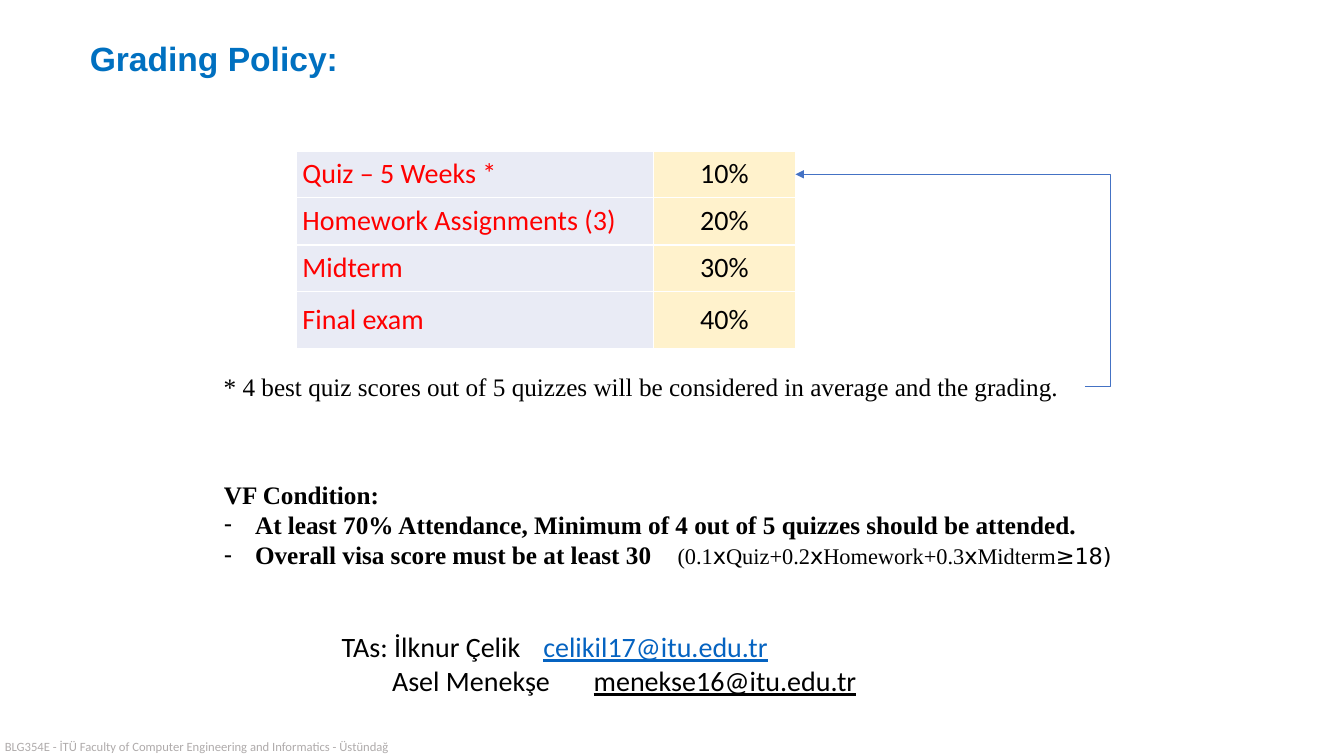
from lxml import etree
from pptx import Presentation
from pptx.dml.color import RGBColor
from pptx.enum.shapes import MSO_CONNECTOR
from pptx.enum.text import MSO_ANCHOR, MSO_AUTO_SIZE, PP_ALIGN
from pptx.oxml.ns import qn
from pptx.util import Inches, Pt

ELBOW = MSO_CONNECTOR.ELBOW
MIDDLE, TOP = MSO_ANCHOR.MIDDLE, MSO_ANCHOR.TOP
LEFT, CENTER = PP_ALIGN.LEFT, PP_ALIGN.CENTER
NO_FIT = MSO_AUTO_SIZE.NONE

BLACK, WHITE, RED = "000000", "FFFFFF", "FF0000"
SERIF, SANS, SYMBOL = "Times New Roman", "Calibri", "DejaVu Sans"


def color(value):
    return RGBColor.from_string(value)


def add_element(parent, tag, **attributes):
    return etree.SubElement(parent, qn(tag), attributes)


def add_run(paragraph, text, size, font, hue=BLACK, bold=False, underline=False):
    run = paragraph.add_run()
    run.text = text
    run.font.size = Pt(size)
    run.font.name = font
    run.font.bold = bold
    run.font.underline = underline
    run.font.color.rgb = color(hue)


def set_paragraph(paragraph, margin=0, bullet=None, tab=None):
    paragraph.alignment = LEFT
    paragraph.line_spacing = 1.0
    paragraph.space_before = Pt(0)
    properties = paragraph._p.get_or_add_pPr()
    properties.set("marL", str(Inches(margin)))
    properties.set("indent", str(-Inches(margin) if bullet else 0))
    if bullet:
        add_element(properties, "a:buChar", char=bullet)
    else:
        add_element(properties, "a:buNone")
    if tab:
        stops = add_element(properties, "a:tabLst")
        add_element(stops, "a:tab", pos=str(Inches(tab)), algn="l")


def fill_text(shape, box, lines, anchor=TOP):
    shape.left, shape.top, shape.width, shape.height = map(Inches, box)
    frame = shape.text_frame
    frame.word_wrap = True
    frame.auto_size = NO_FIT
    frame.vertical_anchor = anchor
    for index, (layout, runs) in enumerate(lines):
        paragraph = frame.add_paragraph() if index else frame.paragraphs[0]
        set_paragraph(paragraph, **layout)
        for run in runs:
            add_run(paragraph, *run)


def add_text(slide, box, lines):
    fill_text(slide.shapes.add_textbox(0, 0, 0, 0), box, lines)


def set_borders(cell):
    properties = cell._tc.get_or_add_tcPr()
    for position, side in enumerate(("a:lnL", "a:lnR", "a:lnT", "a:lnB")):
        border = etree.Element(qn(side), w=str(Pt(1)))
        fill = add_element(border, "a:solidFill")
        add_element(fill, "a:srgbClr", val=WHITE)
        properties.insert(position, border)


def fill_cell(cell, text, hue, background, alignment):
    cell.fill.solid()
    cell.fill.fore_color.rgb = color(background)
    cell.vertical_anchor = MIDDLE
    cell.margin_left = cell.margin_right = Inches(0.06)
    cell.margin_top = cell.margin_bottom = Inches(0.06)
    paragraph = cell.text_frame.paragraphs[0]
    paragraph.alignment = alignment
    add_run(paragraph, text, 20, SANS, hue)
    set_borders(cell)


def add_weights(slide, weights, widths, heights):
    frame = slide.shapes.add_table(
        len(weights), len(widths), Inches(2.94), Inches(1.5),
        Inches(sum(widths)), Inches(sum(heights)))
    table = frame.table
    table.first_row = table.horz_banding = False
    for column, width in zip(table.columns, widths):
        column.width = Inches(width)
    for index, (work, share) in enumerate(weights):
        table.rows[index].height = Inches(heights[index])
        fill_cell(table.cell(index, 0), work, RED, "E9EBF5", LEFT)
        fill_cell(table.cell(index, 1), share, BLACK, "FFF2CC", CENTER)


def add_elbow_arrow(slide, start, end, bend):
    arrow = slide.shapes.add_connector(ELBOW, *map(Inches, start + end))
    arrow.line.color.rgb = color("4472C4")
    arrow.line.width = Pt(0.5)
    add_element(arrow.line._get_or_add_ln(), "a:tailEnd", type="triangle")
    properties = arrow._element.spPr
    add_element(properties, "a:effectLst")
    guides = properties.find(qn("a:prstGeom")).get_or_add_avLst()
    add_element(guides, "a:gd", name="adj1", fmla=f"val {bend}")


def main():
    presentation = Presentation()
    presentation.slide_width = Inches(13.33)
    presentation.slide_height = Inches(7.5)
    slide = presentation.slides.add_slide(presentation.slide_layouts[1])
    title, conditions = slide.placeholders

    fill_text(title, (0.79, 0.33, 2.9, 0.5),
              [({}, [("Grading Policy:", 24, "Arial", "0070C0", True)])], MIDDLE)

    weights = [
        ("Quiz – 5 Weeks *", "10%"),
        ("Homework Assignments (3)", "20%"),
        ("Midterm", "30%"),
        ("Final exam", "40%"),
    ]
    add_weights(slide, weights, (3.54, 1.41), (0.45, 0.47, 0.46, 0.57))

    quiz_note = ("* 4 best quiz scores out of 5 quizzes will be considered "
                 "in average and the grading.")
    add_text(slide, (2.12, 3.63, 8.63, 0.4), [({}, [(quiz_note, 18, SERIF)])])
    add_elbow_arrow(slide, (10.76, 3.83), (7.89, 1.73), -8700)

    attendance = ("At least 70% Attendance, Minimum of 4 out of 5 quizzes "
                  "should be attended.")
    formula = [
        ("(0.1", SERIF), ("x", SYMBOL), ("Quiz+0.2", SERIF), ("x", SYMBOL),
        ("Homework+0.3", SERIF), ("x", SYMBOL), ("Midterm", SERIF),
        ("≥18)", SYMBOL),
    ]
    visa = [("Overall visa score must be at least 30\t", 18, SERIF, BLACK, True)]
    visa += [(text, 16, font) for text, font in formula]
    dashed = {"margin": 0.31, "bullet": "-"}
    fill_text(conditions, (2.12, 4.7, 10.79, 1.28), [
        ({}, [("VF Condition:", 18, SERIF, BLACK, True)]),
        (dashed, [(attendance, 18, SERIF, BLACK, True)]),
        ({**dashed, "tab": 4.5}, visa),
    ])

    assistants = [
        (0, "TAs: İlknur Çelik\t", "celikil17@itu.edu.tr", "0563C1"),
        (0.5, "Asel Menekşe\t", "menekse16@itu.edu.tr", BLACK),
    ]
    add_text(slide, (3.29, 6.2, 6, 0.77), [
        ({"margin": margin, "tab": 2.27},
         [(name, 20, SANS), (mail, 20, SANS, hue, False, True)])
        for margin, name, mail, hue in assistants])

    course = "BLG354E - İTÜ Faculty of Computer Engineering and Informatics - Üstündağ"
    add_text(slide, (-0.05, 7.28, 6.67, 0.25), [({}, [(course, 9, SANS, "AFABAB")])])

    presentation.save("out.pptx")


main()
